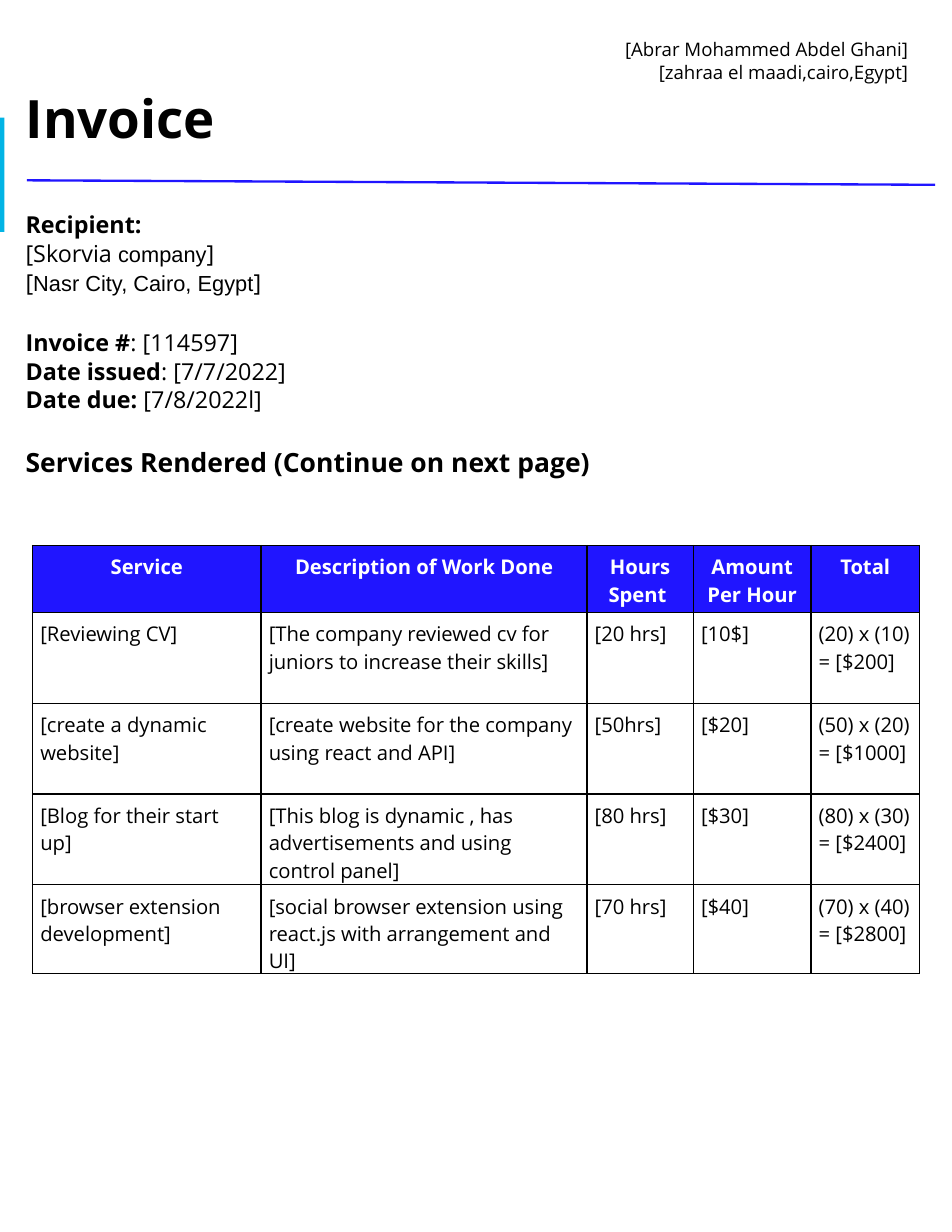
from lxml import etree
from pptx import Presentation
from pptx.dml.color import RGBColor
from pptx.enum.shapes import MSO_CONNECTOR, MSO_SHAPE
from pptx.enum.text import MSO_ANCHOR, PP_ALIGN
from pptx.oxml.ns import qn
from pptx.util import Inches, Pt

RECT = MSO_SHAPE.RECTANGLE
LINE = MSO_CONNECTOR.STRAIGHT
TOP, MIDDLE = MSO_ANCHOR.TOP, MSO_ANCHOR.MIDDLE
LEFT, CENTER, RIGHT = PP_ALIGN.LEFT, PP_ALIGN.CENTER, PP_ALIGN.RIGHT
JUST = PP_ALIGN.JUSTIFY

FONT, ALT = "Open Sans", "Arial"
BLUE, CYAN, BLACK, WHITE = "2015FF", "02B4E5", "000000", "FFFFFF"
SPACING = 1.03

COLS = [2.04, 2.91, 0.95, 1.05, 0.97]
ROWS = [0.6, 0.81, 0.81, 0.81, 0.79]
HEADS = ["Service", "Description of Work Done", "Hours Spent ",
         "Amount Per Hour", "Total"]
WORK = [
    ["[Reviewing CV]",
     "[The company reviewed cv for juniors to increase their skills]",
     "[20 hrs]", "[10$]", "(20) x (10) = [$200]"],
    ["[create a dynamic website]",
     "[create website for the company using react and API]",
     "[50hrs]", "[$20]", "(50) x (20) = [$1000]"],
    ["[Blog for their start up]",
     "[This blog is dynamic , has advertisements and using control panel]",
     "[80 hrs]", "[$30]", "(80) x (30) = [$2400]"],
    ["[browser extension development]",
     "[social browser extension using react.js with arrangement and UI]",
     "[70 hrs]", "[$40]", "(70) x (40) = [$2800]"],
]


def color(value):
    return RGBColor.from_string(value)


def add_run(para, text, size, bold=False, font=FONT, tint=BLACK):
    run = para.add_run()
    run.text = text
    run.font.size = Pt(size)
    run.font.bold = bold
    run.font.name = font
    run.font.color.rgb = color(tint)


def add_text(slide, box, paras, anchor=TOP):
    """Each paragraph is (alignment, points before, runs)."""
    frame = slide.shapes.add_textbox(*map(Inches, box)).text_frame
    frame.word_wrap = True
    frame.vertical_anchor = anchor
    frame.margin_left = frame.margin_right = Inches(0.1)
    frame.margin_top = frame.margin_bottom = Inches(0.1)
    for i, (align, before, runs) in enumerate(paras):
        para = frame.add_paragraph() if i else frame.paragraphs[0]
        para.alignment = align
        para.line_spacing = SPACING
        para.space_before = Pt(before)
        for run in runs:
            add_run(para, *run)


def add_bar(slide, box, fill):
    bar = slide.shapes.add_shape(RECT, *map(Inches, box))
    bar.shadow.inherit = False
    bar.fill.solid()
    bar.fill.fore_color.rgb = color(fill)
    bar.line.fill.background()


def add_rule(slide, ends, tint, width):
    rule = slide.shapes.add_connector(LINE, *map(Inches, ends))
    rule.line.color.rgb = color(tint)
    rule.line.width = Pt(width)
    etree.SubElement(rule._element.spPr, qn("a:effectLst"))


def set_edges(cell, tint, width):
    props = cell._tc.get_or_add_tcPr()
    for i, side in enumerate(("lnL", "lnR", "lnT", "lnB")):
        edge = etree.Element(qn("a:" + side), w=str(Pt(width)))
        fill = etree.SubElement(edge, qn("a:solidFill"))
        etree.SubElement(fill, qn("a:srgbClr"), val=tint)
        props.insert(i, edge)


def fill_cell(cell, text, head):
    cell.margin_left = cell.margin_right = Inches(0.07)
    cell.margin_top = cell.margin_bottom = Inches(0.07)
    if head:
        cell.fill.solid()
        cell.fill.fore_color.rgb = color(BLUE)
    else:
        cell.fill.background()
    para = cell.text_frame.paragraphs[0]
    para.alignment = CENTER if head else LEFT
    add_run(para, text, 13, head, FONT, WHITE if head else BLACK)
    set_edges(cell, BLACK, 1)


def add_grid(slide, left, top, rows):
    size = map(Inches, (left, top, sum(COLS), sum(ROWS)))
    table = slide.shapes.add_table(len(ROWS), len(COLS), *size).table
    for col, width in zip(table.columns, COLS):
        col.width = Inches(width)
    for row, height in zip(table.rows, ROWS):
        row.height = Inches(height)
    for r, texts in enumerate(rows):
        for c, text in enumerate(texts):
            fill_cell(table.cell(r, c), text, r == 0)


def main():
    deck = Presentation()
    deck.slide_width, deck.slide_height = Inches(8.5), Inches(11)
    slide = deck.slides.add_slide(deck.slide_layouts[6])

    # Sender and title
    add_bar(slide, (0, 1.05, 0.04, 1.02), CYAN)
    add_text(slide, (0.13, 0.22, 8.08, 1.22), [
        (RIGHT, 0, [("[Abrar Mohammed Abdel Ghani]", 12)]),
        (RIGHT, 0, [("[zahraa el maadi,cairo,Egypt]", 12)]),
        (JUST, 0, [("Invoice", 34, True)]),
    ], MIDDLE)
    add_rule(slide, (0.24, 1.61, 8.35, 1.65), BLUE, 1.5)

    # Recipient, dates and table heading
    add_text(slide, (0.13, 1.77, 8.21, 3.09), [
        (JUST, 0, [("Recipient:", 15, True)]),
        (LEFT, 0, [("[Skorvia ", 15), ("company", 14, False, ALT),
                   ("]", 15)]),
        (LEFT, 0, [("[", 15), ("Nasr City, Cairo, Egypt", 14, False, ALT),
                   ("]", 15)]),
        (LEFT, 20, [("Invoice #", 15, True), (": [114597]", 15)]),
        (LEFT, 0, [("Date issued", 15, True), (": [7/7/2022]", 15)]),
        (LEFT, 0, [("Date due:", 15, True), (" [7/8/2022l]", 15)]),
        (LEFT, 20, [("Services Rendered (Continue on next page)", 17, True)]),
    ])

    # Services
    add_grid(slide, 0.29, 4.87, [HEADS] + WORK)
    deck.save("out.pptx")


if __name__ == "__main__":
    main()
